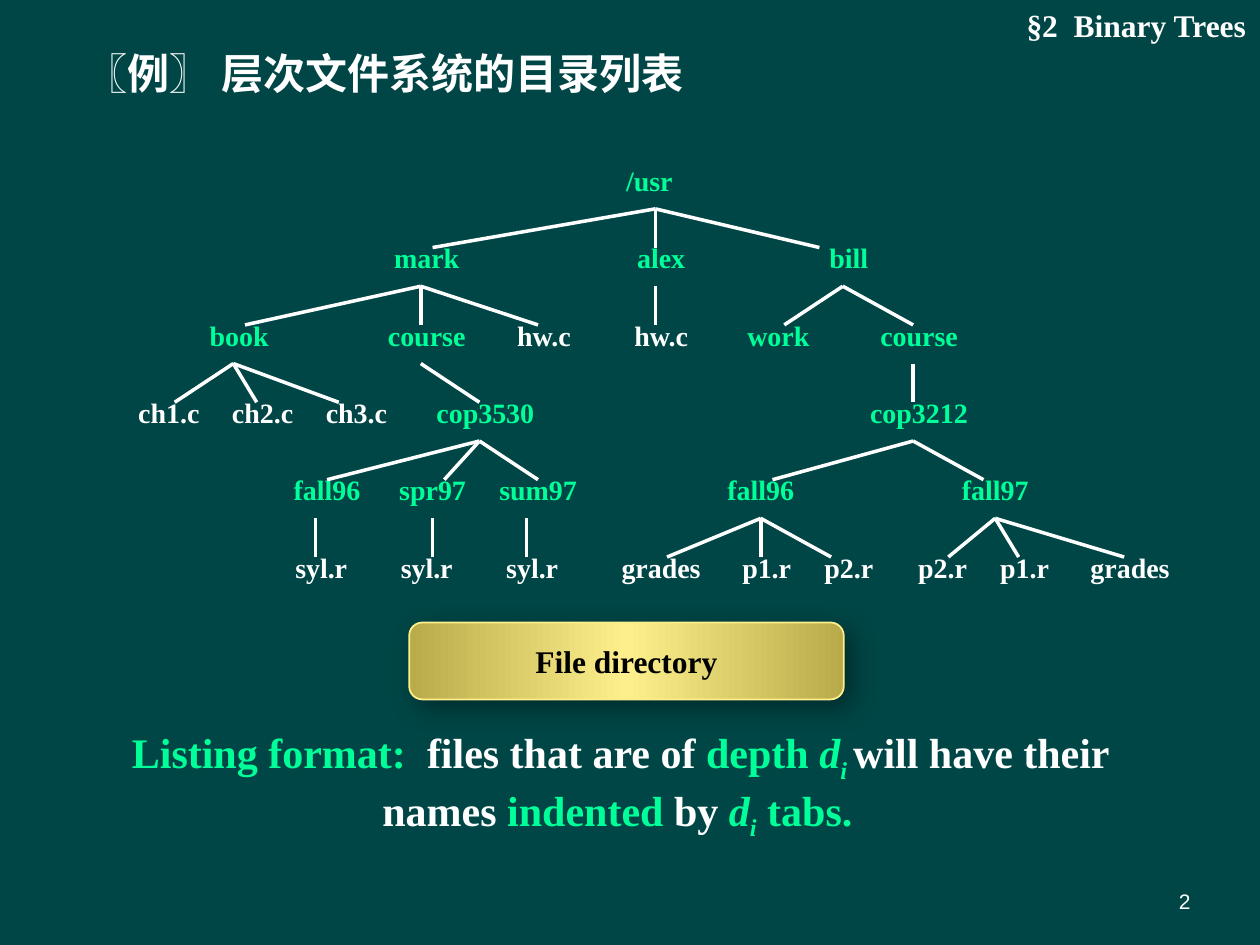
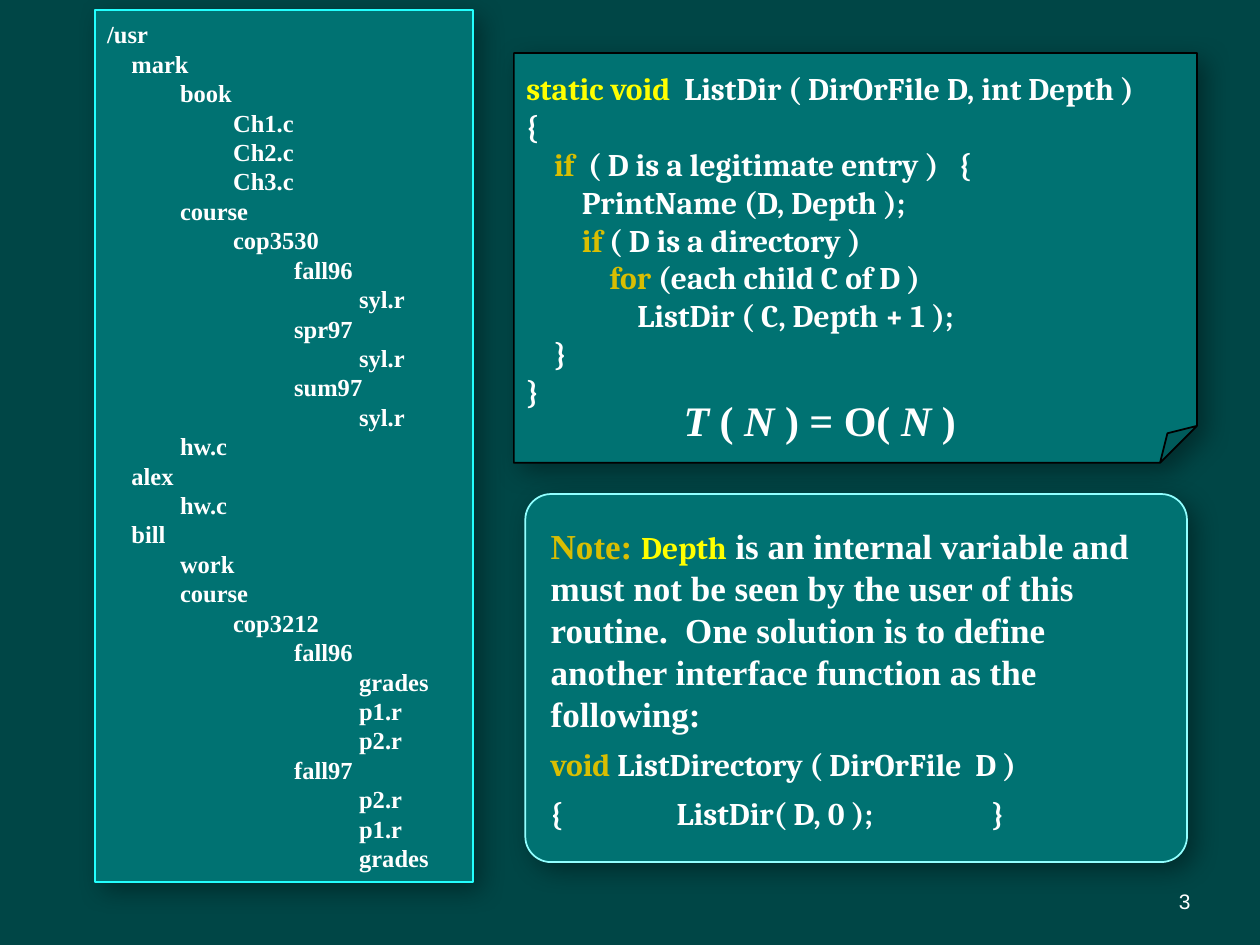
from copy import deepcopy

from lxml.etree import SubElement
from pptx import Presentation
from pptx.dml.color import RGBColor
from pptx.enum.shapes import MSO_CONNECTOR, MSO_SHAPE
from pptx.enum.text import MSO_ANCHOR, MSO_AUTO_SIZE, PP_ALIGN
from pptx.oxml.ns import qn
from pptx.util import Cm, Pt

BACKGROUND, PANEL = "004646", "007272"
WHITE, BLACK, GREEN = "FFFFFF", "000000", "00FF99"
YELLOW, GOLD = "FFFF00", "D9BE02"
CYAN, PALE_CYAN = "23FFFE", "91FFFF"
SAND, PALE_GOLD = "B9AB49", "FDEF8B"

SERIF = {"name": "Times New Roman", "bold": True, "colour": WHITE}
CODE = {"name": "Cambria", "size": Pt(18), "bold": True, "colour": WHITE}
NUMBER = {"name": "Arial", "size": Pt(12), "colour": WHITE}
SUBSCRIPT = {"colour": GREEN, "italic": True, "baseline": "-25000"}
VARIABLE = {"colour": GREEN, "italic": True}


def write(paragraph, runs, base, **layout):
    """Add (text, changed format) runs to a paragraph; layout holds pPr attributes."""
    for key, value in layout.items():
        paragraph._p.get_or_add_pPr().set(key, str(value))
    for text, changes in runs:
        run = paragraph.add_run()
        run.text = text
        for key, value in {**base, **changes}.items():
            if key == "colour":
                run.font.color.rgb = RGBColor.from_string(value)
            elif key == "baseline":
                run.font._element.set(key, value)
            else:
                setattr(run.font, key, value)


def add_box(shapes, at, preset=None, fill=PANEL, line=None, corner=None, **frame):
    """Add a text box, or a filled shape with a soft shadow; return the shape."""
    lengths = [Cm(length) for length in at]
    if preset is None:
        shape = shapes.add_textbox(*lengths)
    else:
        shape = shapes.add_shape(preset, *lengths)
        if corner:
            guides = shape._element.spPr.find(qn("a:prstGeom")).find(qn("a:avLst"))
            SubElement(guides, qn("a:gd"), name="adj", fmla=f"val {round(corner * 100000)}")
        shape.fill.solid()
        shape.fill.fore_color.rgb = RGBColor.from_string(fill)
        shape.line.color.rgb = RGBColor.from_string(line)
        shape.line.width = Pt(1)
        shape.shadow.inherit = False
        effects = shape._element.spPr.find(qn("a:effectLst"))
        shadow = SubElement(effects, qn("a:outerShdw"), blurRad=str(Pt(15)),
                            dist=str(Pt(6.2)), dir="2700000", algn="ctr", rotWithShape="0")
        colour = SubElement(shadow, qn("a:srgbClr"), val=BLACK)
        SubElement(colour, qn("a:alpha"), val="36000")
        frame = {"vertical_anchor": MSO_ANCHOR.MIDDLE, **frame}
    for key, value in {"word_wrap": True, **frame}.items():
        setattr(shape.text_frame, key, value)
    shape.text_frame.paragraphs[0].alignment = PP_ALIGN.LEFT
    return shape


presentation = Presentation()
presentation.slide_width, presentation.slide_height = Cm(25.4), Cm(19.05)
background = presentation.slide_master.background.fill
background.solid()
background.fore_color.rgb = RGBColor.from_string(BACKGROUND)

TITLE_ONLY, BLANK = presentation.slide_layouts[5], presentation.slide_layouts[6]
tree_slide = presentation.slides.add_slide(TITLE_ONLY)
code_slide = presentation.slides.add_slide(BLANK)

margins = {f"margin_{side}": Cm(0.13) for side in ("left", "top", "right", "bottom")}
for number, slide in enumerate((tree_slide, code_slide), start=2):
    box = add_box(slide.shapes, (18.21, 17.65, 5.92, 1.02),
                  vertical_anchor=MSO_ANCHOR.MIDDLE, **margins)
    write(box.text_frame.paragraphs[0], [(str(number), {})], NUMBER, algn="r")

# The directory tree in listing order. Columns and widths count grid units:
# name, depth, column, width, column where its edge ends, column where edges
# to its children start (None for a plain file).
TREE = [
    ("/usr", 0, 41, 9, None, 46),
    ("mark", 1, 22, 9, 27, 26),
    ("book", 2, 6, 9, 11, 10),
    ("ch1.c", 3, 0, 9, 5, None),
    ("ch2.c", 3, 8, 9, 12, None),
    ("ch3.c", 3, 16, 9, 19, None),
    ("course", 2, 21, 11, 26, 26),
    ("cop3530", 3, 25, 13, 31, 31),
    ("fall96", 4, 13, 10, 18, 17),
    ("syl.r", 5, 13, 9, 17, None),
    ("spr97", 4, 22, 10, 28, 27),
    ("syl.r", 5, 22, 9, 27, None),
    ("sum97", 4, 31, 10, 36, 35),
    ("syl.r", 5, 31, 9, 35, None),
    ("hw.c", 2, 32, 9, 36, None),
    ("alex", 1, 42, 9, 46, 46),
    ("hw.c", 2, 42, 9, 46, None),
    ("bill", 1, 58, 9, 60, 62),
    ("work", 2, 51, 11, 57, 57),
    ("course", 2, 63, 11, 68, 68),
    ("cop3212", 3, 62, 13, 68, 68),
    ("fall96", 4, 50, 10, 56, 55),
    ("grades", 5, 41, 11, 47, None),
    ("p1.r", 5, 51, 9, 55, None),
    ("p2.r", 5, 58, 9, 61, None),
    ("fall97", 4, 70, 10, 74, 75),
    ("p2.r", 5, 66, 9, 71, None),
    ("p1.r", 5, 73, 9, 77, None),
    ("grades", 5, 81, 11, 86, None),
]

# Slide with the tree
title = tree_slide.shapes.title
title.left, title.top, title.width, title.height = Cm(1.47), Cm(0.84), Cm(21.8), Cm(1.27)
for key, value in {"vertical_anchor": MSO_ANCHOR.TOP, "word_wrap": True,
                   "auto_size": MSO_AUTO_SIZE.NONE}.items():
    setattr(title.text_frame, key, value)
write(title.text_frame.paragraphs[0], [("〖例〗 层次文件系统的目录列表", {})],
      {**SERIF, "size": Pt(24)}, algn="l")

LEFT, TOP, ROW = 2.34, 3.17, 1.56
UNIT = 21.74 / 92
EDGE_TOP, EDGE_HEIGHT = 1.04, 0.78
tree = tree_slide.shapes.add_group_shape().shapes
edge_starts = {}
for name, depth, column, width, edge_end, edge_start in TREE:
    top = TOP + ROW * depth
    label = add_box(tree, (LEFT + UNIT * column, top, UNIT * width, 1.16))
    colour = WHITE if edge_start is None else GREEN
    write(label.text_frame.paragraphs[0], [(name, {})],
          {**SERIF, "size": Pt(16), "colour": colour}, algn="ctr")
    edge_starts[depth] = edge_start
    if depth:
        edge_top = top - ROW + EDGE_TOP
        edge = tree.add_connector(
            MSO_CONNECTOR.STRAIGHT,
            Cm(LEFT + UNIT * edge_starts[depth - 1]), Cm(edge_top),
            Cm(LEFT + UNIT * edge_end), Cm(edge_top + EDGE_HEIGHT))
        edge.line.color.rgb = RGBColor.from_string(WHITE)
        edge.line.width = Pt(2)
        SubElement(edge._element.spPr, qn("a:effectLst"))

caption = add_box(tree, (8.25, 12.55, 8.76, 1.55), MSO_SHAPE.ROUNDED_RECTANGLE,
                  line=PALE_GOLD, corner=0.17)
caption.fill.gradient()
caption.fill.gradient_angle = 0
stops = caption._element.spPr.find(qn("a:gradFill")).find(qn("a:gsLst"))
stops.insert(1, deepcopy(stops[0]))
for stop, (position, colour) in zip(caption.fill.gradient_stops,
                                    [(0, SAND), (0.5, PALE_GOLD), (1, SAND)]):
    stop.position = position
    stop.color.rgb = RGBColor.from_string(colour)
write(caption.text_frame.paragraphs[0], [("File directory", {})],
      {**SERIF, "size": Pt(18), "colour": BLACK}, algn="ctr")

rule = add_box(tree_slide.shapes, (2.41, 14.53, 21.39, 2.31))
green = {"colour": GREEN}
write(rule.text_frame.paragraphs[0], [
    ("Listing format:  ", green), ("files that are of ", {}), ("depth ", green),
    ("d", VARIABLE), ("i ", SUBSCRIPT), ("will have their names ", {}),
    ("indented", green), (" by ", {}), ("d", VARIABLE), ("i", SUBSCRIPT),
    (" tabs.", green),
], {**SERIF, "size": Pt(24)}, marL=Cm(5.05), indent=-Cm(5.05))

section = add_box(tree_slide.shapes, (19.25, 0, 6.12, 1.02))
write(section.text_frame.paragraphs[0], [("§2  Binary Trees", {})],
      {**SERIF, "size": Pt(18)}, algn="r")

# Slide with the listing and the code
listing = add_box(code_slide.shapes, (1.91, 0.2, 7.62, 17.58), MSO_SHAPE.RECTANGLE, line=CYAN)
LISTING_INDENTS = [0, 0.49, 1.47, 2.54, 3.77, 5.08]
frame = listing.text_frame
for index, (name, depth, *_) in enumerate(TREE):
    paragraph = frame.add_paragraph() if index else frame.paragraphs[0]
    write(paragraph, [(name.replace("ch", "Ch"), {})], {**SERIF, "size": Pt(14)},
          algn="l", marL=Cm(LISTING_INDENTS[depth]))

gold, yellow = {"colour": GOLD}, {"colour": YELLOW}
CODE_LINES = [
    (0, [("static void  ", yellow), ("ListDir ( DirOrFile D, int Depth )", {})]),
    (0, [("{", {})]),
    (1, [("if", gold), ("  ( D is a legitimate entry )   {", {})]),
    (2, [("PrintName (D, Depth );", {})]),
    (2, [("if ", gold), ("( D is a directory )", {})]),
    (3, [("for", gold), (" (each child C of D )", {})]),
    (4, [("ListDir ( C, Depth + 1 );", {})]),
    (1, [("}", {})]),
    (0, [("}", {})]),
]
code = add_box(code_slide.shapes, (10.36, 1.07, 13.77, 8.26), MSO_SHAPE.FOLDED_CORNER,
               line=BLACK, corner=0.09)
frame = code.text_frame
for index, (level, runs) in enumerate(CODE_LINES):
    paragraph = frame.add_paragraph() if index else frame.paragraphs[0]
    write(paragraph, runs, CODE, algn="l", marL=Cm(0.56 * level))

note = add_box(code_slide.shapes, (10.59, 9.96, 13.34, 7.42), MSO_SHAPE.ROUNDED_RECTANGLE,
               line=PALE_CYAN, corner=0.07, margin_left=Cm(0.36), margin_right=Cm(0.36),
               margin_top=Cm(0.23), margin_bottom=Cm(0.23))
frame = note.text_frame
write(frame.paragraphs[0], [
    ("Note: ", gold), ("Depth", {**CODE, **yellow}),
    (" is an internal variable and must not be seen by the user of this routine.  "
     "One solution is to define another interface function as the following:", {}),
], {**SERIF, "size": Pt(20)}, algn="l")
for runs in ([("void ", gold), ("ListDirectory ( DirOrFile  D )", {})],
             [("{\tListDir( D, 0 );\t}", {})]):
    paragraph = frame.add_paragraph()
    paragraph.space_before = Pt(6)
    write(paragraph, runs, CODE, algn="l")
tabs = SubElement(paragraph._p.get_or_add_pPr(), qn("a:tabLst"))
for position in (2.54, 8.89):
    SubElement(tabs, qn("a:tab"), pos=str(Cm(position)), algn="l")

cost = add_box(code_slide.shapes, (12.5, 7.82, 8.05, 1.27))
italic = {"italic": True}
write(cost.text_frame.paragraphs[0], [
    ("T ", italic), ("( ", {}), ("N ", italic), (") = O( ", {}), ("N ", italic), (")", {}),
], {**SERIF, "size": Pt(24)}, algn="ctr")

presentation.save("out.pptx")
